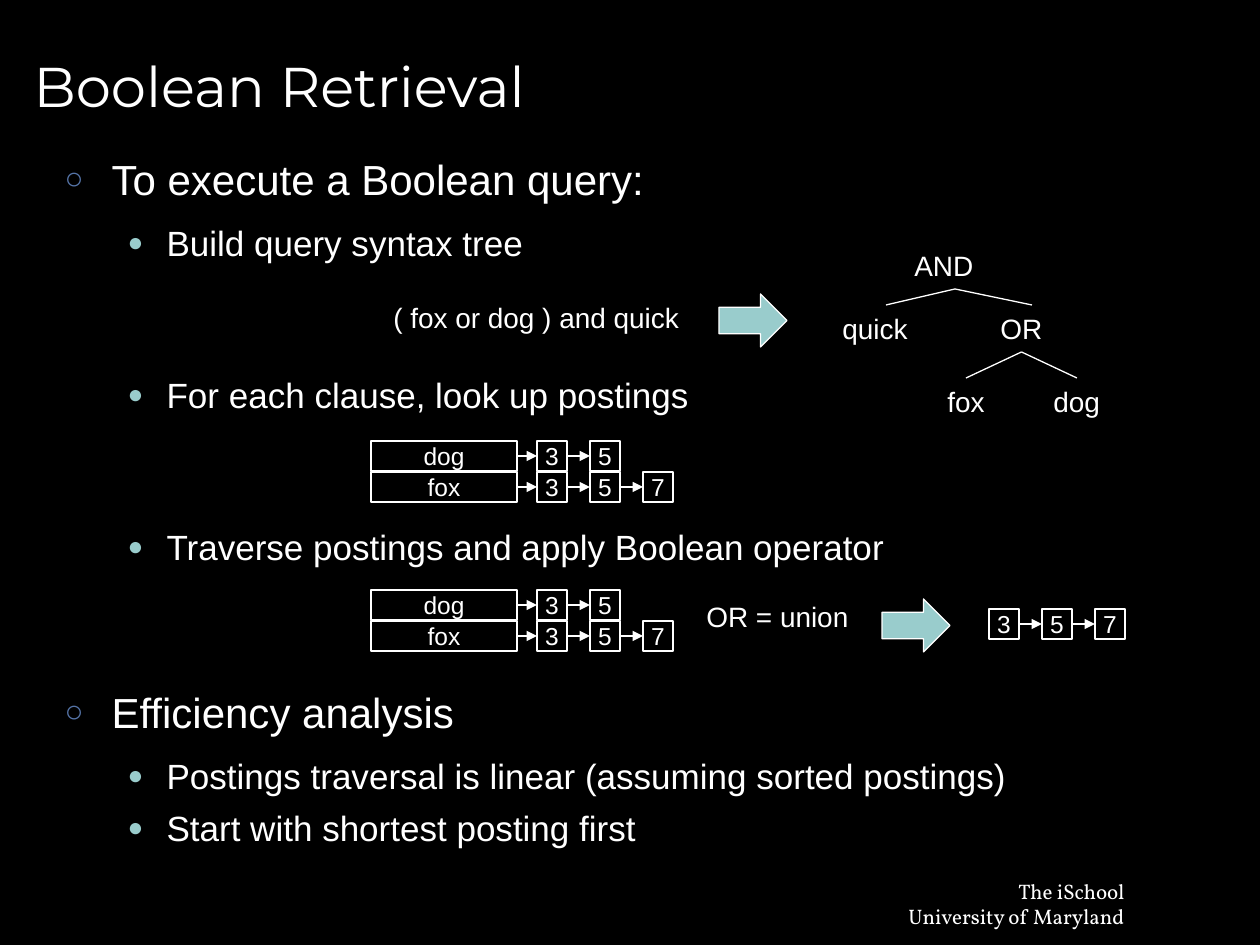
from itertools import pairwise

from lxml.etree import SubElement
from pptx import Presentation
from pptx.dml.color import RGBColor
from pptx.enum.shapes import MSO_CONNECTOR, MSO_SHAPE
from pptx.enum.text import MSO_ANCHOR, MSO_AUTO_SIZE, PP_ALIGN
from pptx.oxml.ns import qn
from pptx.util import Emu, Pt

PX = 914400 / 126
BLACK = RGBColor(0x00, 0x00, 0x00)
WHITE = RGBColor(0xFF, 0xFF, 0xFF)
BLUE = RGBColor(0x56, 0x75, 0xA9)
TEAL = RGBColor(0x99, 0xCC, 0xCC)

TOP, LEFT, BOTTOM, RIGHT = range(4)
CELL, CELL_PITCH, ROW_PITCH = 30, 53, 31
TERM_LEFT, TERM_WIDTH, POSTINGS_LEFT = 371, 146, 537
FIGURE_GAP = 57.4  # points kept free in the outline for a figure

# level: (size, bullet, bullet colour, left margin, hanging indent, spacing)
LEVELS = {
    0: (24, "○", BLUE, 47, 47, 7.5),
    1: (20, "●", TEAL, 102, 39, 2.75),
}
# (level, text, follows a figure)
OUTLINE = [
    (0, "To execute a Boolean query:", False),
    (1, "Build query syntax tree", False),
    (1, "For each clause, look up postings", True),
    (1, "Traverse postings and apply Boolean operator", True),
    (0, "Efficiency analysis", True),
    (1, "Postings traversal is linear (assuming sorted postings)", False),
    (1, "Start with shortest posting first", False),
]
POSTINGS = {"dog": "35", "fox": "357"}


def px(*lengths):
    return [Emu(round(length * PX)) for length in lengths]


class SlidePainter:
    def __init__(self, slide, font="Arial", color=WHITE):
        self.slide = slide
        self.shapes = slide.shapes
        self.font = font
        self.color = color
        slide.background.fill.solid()
        slide.background.fill.fore_color.rgb = BLACK

    def style(self, para, size, align=PP_ALIGN.LEFT, font=None):
        para.alignment = align
        para.font.size = Pt(size)
        para.font.name = font or self.font
        para.font.color.rgb = self.color

    def place(self, shape, *bounds):
        shape.left, shape.top, shape.width, shape.height = px(*bounds)

    def title(self, text, *bounds):
        title = self.shapes.title
        self.place(title, *bounds)
        frame = title.text_frame
        frame.text = text
        frame.vertical_anchor = MSO_ANCHOR.MIDDLE
        frame.auto_size = MSO_AUTO_SIZE.NONE
        self.style(frame.paragraphs[0], 32, font="Montserrat")

    def bullet(self, para, char, color, margin, hanging):
        properties = para._p.get_or_add_pPr()
        left, indent = px(margin, -hanging)
        properties.set("marL", str(left))
        properties.set("indent", str(indent))
        bullet_color = SubElement(properties, qn("a:buClr"))
        SubElement(bullet_color, qn("a:srgbClr"), val=str(color))
        SubElement(properties, qn("a:buSzPct"), val="75000")
        SubElement(properties, qn("a:buChar"), char=char)

    def outline(self, items, *bounds):
        body = self.slide.placeholders[1]
        self.place(body, *bounds)
        frame = body.text_frame
        frame.auto_size = MSO_AUTO_SIZE.NONE
        frame.text = "\n".join(text for _, text, _ in items)
        for number, (para, item) in enumerate(zip(frame.paragraphs, items)):
            level, _, after_figure = item
            size, char, color, margin, hanging, spacing = LEVELS[level]
            para.level = level
            before = spacing + FIGURE_GAP * after_figure if number else 0
            para.space_before = Pt(before)
            para.space_after = Pt(spacing)
            self.bullet(para, char, color, margin, hanging)
            self.style(para, size)

    def label(self, text, *bounds, size=16, align=PP_ALIGN.LEFT, font=None):
        """Add text whose inset on the ragged side is free, so lines never break."""
        box = self.shapes.add_textbox(*px(*bounds))
        frame = box.text_frame
        frame.text = text
        frame.word_wrap = True
        frame.auto_size = MSO_AUTO_SIZE.NONE
        if align == PP_ALIGN.RIGHT:
            frame.margin_left = 0
        else:
            frame.margin_right = 0
        for para in frame.paragraphs:
            self.style(para, size, align, font)
        return box

    def outlined(self, preset, bounds, width):
        shape = self.shapes.add_shape(preset, *px(*bounds))
        shape.shadow.inherit = False
        shape.line.color.rgb = self.color
        shape.line.width = Pt(width)
        return shape

    def cell(self, text, *bounds):
        cell = self.outlined(MSO_SHAPE.RECTANGLE, bounds, 1)
        cell.fill.background()
        frame = cell.text_frame
        frame.text = text
        frame.word_wrap = False
        frame.vertical_anchor = MSO_ANCHOR.MIDDLE
        self.style(frame.paragraphs[0], 14, PP_ALIGN.CENTER)
        return cell

    def block_arrow(self, left, top):
        arrow = self.outlined(MSO_SHAPE.RIGHT_ARROW, (left, top, 68, 53), 0.75)
        arrow.fill.solid()
        arrow.fill.fore_color.rgb = TEAL

    def line(self, *ends):
        line = self.shapes.add_connector(MSO_CONNECTOR.STRAIGHT, *px(*ends))
        line.line.color.rgb = self.color
        line.line.width = Pt(0.75)
        SubElement(line._element.spPr, qn("a:effectLst"))
        return line

    def join(self, start, start_side, end, end_side, arrow=False):
        line = self.line(0, 0, 0, 0)
        line.begin_connect(start, start_side)
        line.end_connect(end, end_side)
        if arrow:
            outline = line.line._get_or_add_ln()
            SubElement(outline, qn("a:tailEnd"), type="triangle")

    def chain(self, documents, left, top, term=None):
        """Draw a postings list as linked cells, led by its term if given."""
        cells = [self.cell(document, left + column * CELL_PITCH, top, CELL, CELL)
                 for column, document in enumerate(documents)]
        if term:
            cells.insert(0, self.cell(term, TERM_LEFT, top, TERM_WIDTH, CELL))
        for start, end in pairwise(cells):
            self.join(start, RIGHT, end, LEFT, arrow=True)

    def postings(self, top):
        for row, (term, documents) in enumerate(POSTINGS.items()):
            self.chain(documents, POSTINGS_LEFT, top + row * ROW_PITCH, term)

    def syntax_tree(self):
        self.label("AND", 902, 242, 84, 47)
        self.label("quick", 830, 305, 89, 47)
        or_node = self.label("OR", 988, 305, 67, 47)
        fox = self.label("fox", 935, 378, 62, 47)
        dog = self.label("dog", 1041, 378, 72, 47)
        for child_x in (886, 1032):
            self.line(955, 289, child_x, 305)
        for child in (fox, dog):
            self.join(or_node, BOTTOM, child, TOP)


def main():
    deck = Presentation()
    deck.slide_width, deck.slide_height = px(1260, 945)
    painter = SlidePainter(deck.slides.add_slide(deck.slide_layouts[1]))

    painter.title("Boolean Retrieval", 21, 15, 1197, 141)
    painter.outline(OUTLINE, 52, 147, 1165, 703)
    painter.label("The iSchool\nUniversity of Maryland", 893, 872, 244, 63,
                  size=12, align=PP_ALIGN.RIGHT, font="Vollkorn")

    painter.label("( fox or dog ) and quick", 381, 294, 310, 47)
    painter.block_arrow(719, 294)
    painter.syntax_tree()

    painter.postings(441)
    painter.postings(590)
    painter.label("OR = union", 694, 593, 168, 47)
    painter.block_arrow(882, 599)
    painter.chain("357", 989, 609)

    deck.save("out.pptx")


if __name__ == "__main__":
    main()
